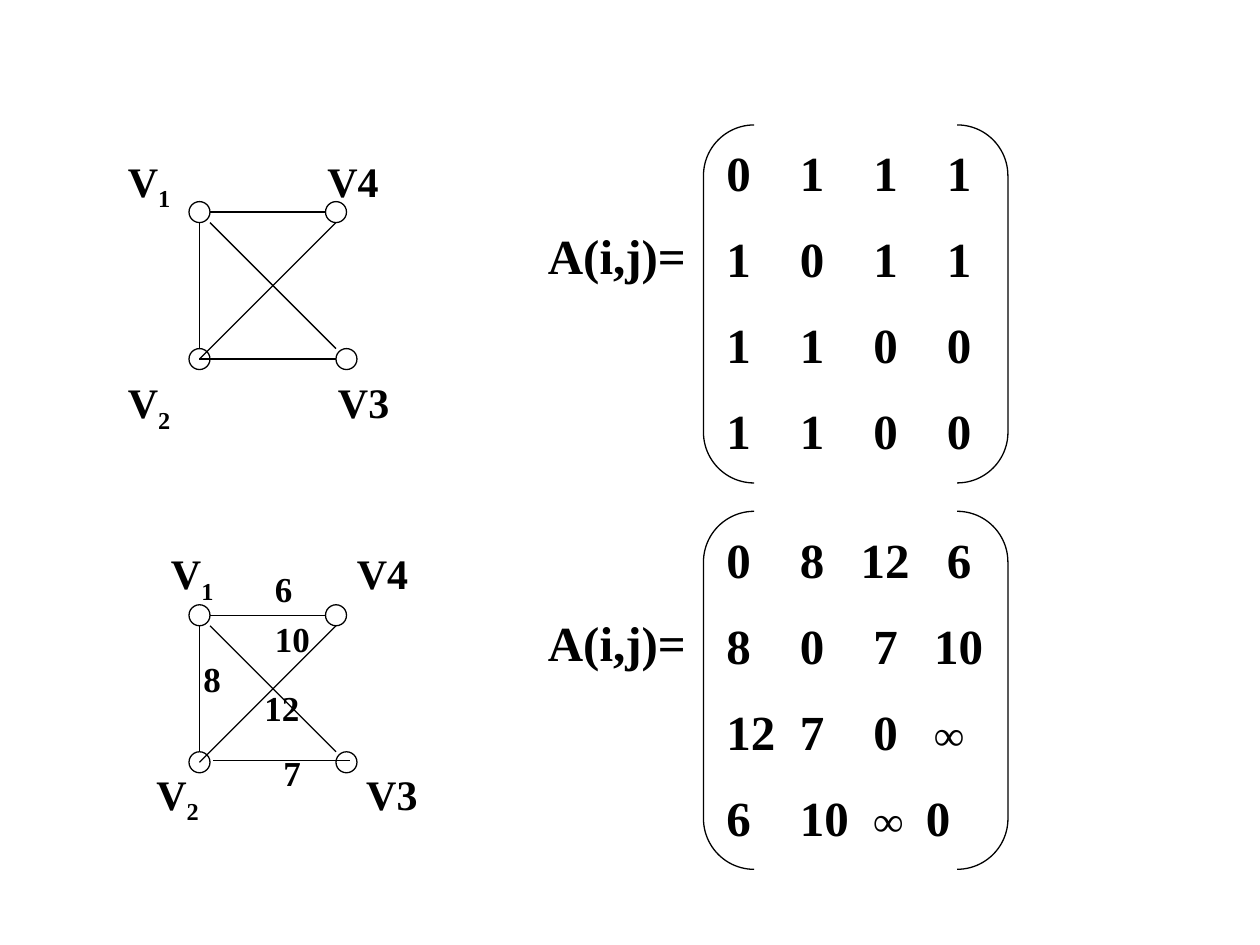
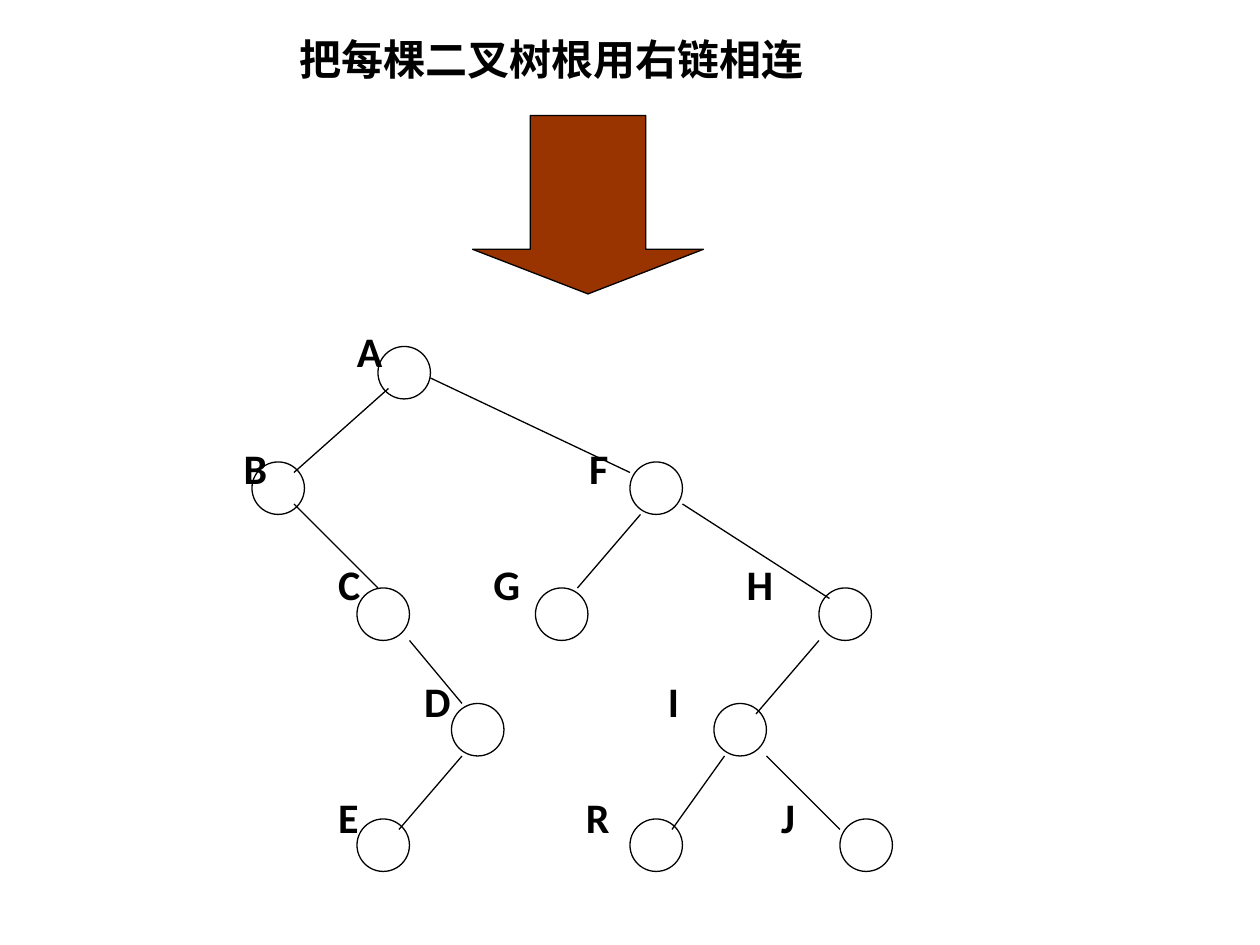
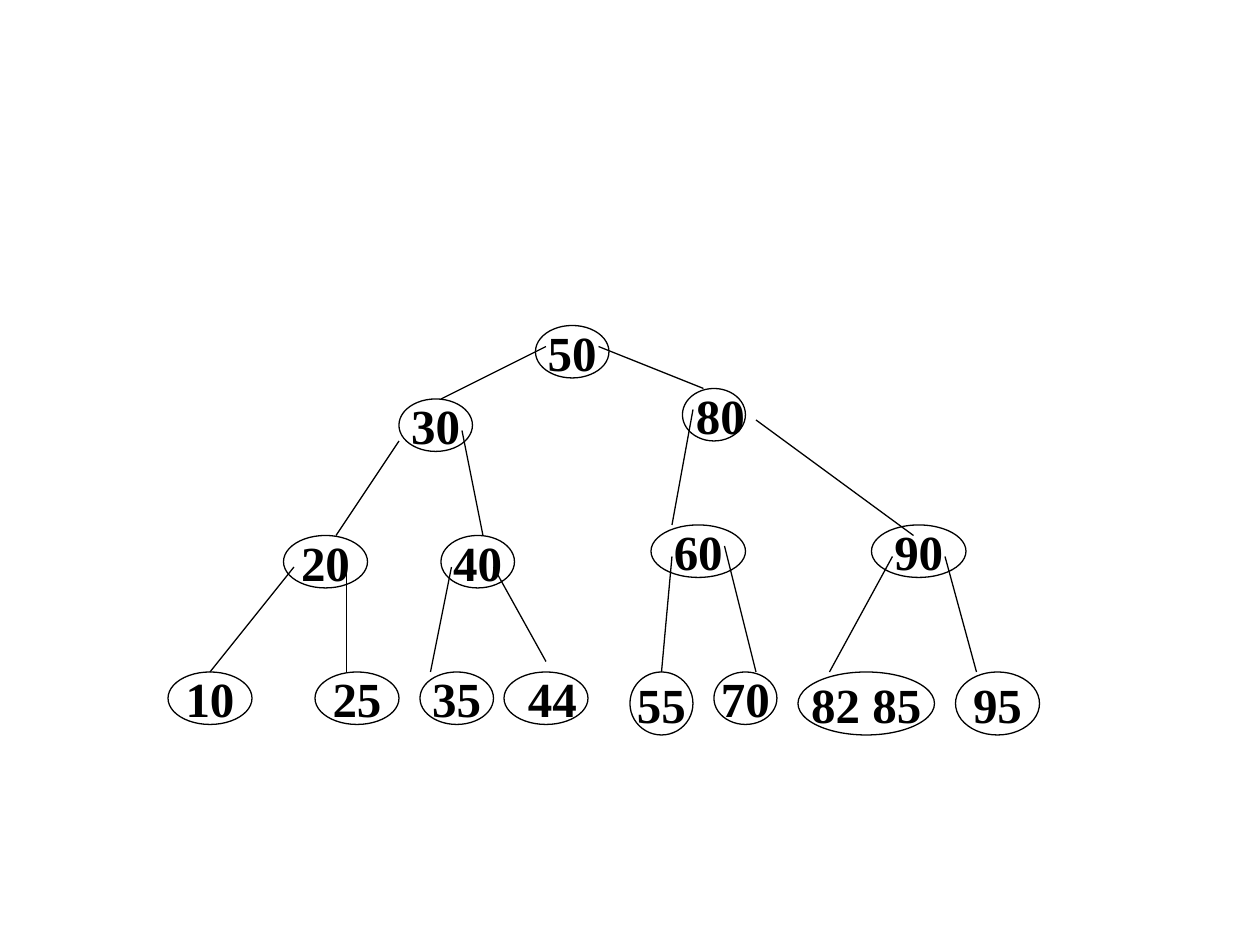
from typing import NamedTuple

from lxml import etree
from pptx import Presentation
from pptx.dml.color import RGBColor
from pptx.enum.shapes import MSO_CONNECTOR, MSO_SHAPE
from pptx.enum.text import MSO_ANCHOR, PP_ALIGN
from pptx.oxml.ns import qn
from pptx.util import Pt

EMU_PER_PX = 7620  # 120 px to the inch
SLIDE_W, SLIDE_H = 1200, 900
BLANK_LAYOUT = 6

BLACK = RGBColor(0x00, 0x00, 0x00)
RUST = RGBColor(0x99, 0x33, 0x00)
SERIF, SANS = "Times New Roman", "Calibri"
LINE_WIDTH = Pt(0.75)
INSET_X, INSET_Y = 12, 6

ELLIPSE = MSO_SHAPE.OVAL
BRACKETS = MSO_SHAPE.DOUBLE_BRACKET
DOWN_ARROW = MSO_SHAPE.DOWN_ARROW
STRAIGHT = MSO_CONNECTOR.STRAIGHT
MIDDLE = MSO_ANCHOR.MIDDLE
CENTER = PP_ALIGN.CENTER


class Box(NamedTuple):
    left: int
    top: int
    width: int
    height: int


class Edge(NamedTuple):
    x1: int
    y1: int
    x2: int
    y2: int


class Cell(NamedTuple):
    text: str
    left: int
    size: int = 28


class VertexLabel(NamedTuple):
    left: int
    top: int
    text: str
    subscript: str = ""


class Weight(NamedTuple):
    left: int
    top: int
    text: str


class Key(NamedTuple):
    text: str
    box: Box
    nudge: int = 0


def px(length: int) -> int:
    return length * EMU_PER_PX


def style_run(run, size: int, font: str) -> None:
    run.font.size = Pt(size)
    run.font.name = font
    run.font.bold = True
    run.font.color.rgb = BLACK


def add_run(paragraph, text: str, size: int, font: str = SERIF):
    run = paragraph.add_run()
    run.text = text
    style_run(run, size, font)
    return run


def add_outline(slide, kind, box: Box, fill: RGBColor | None = None):
    shape = slide.shapes.add_shape(kind, *map(px, box))
    shape.shadow.inherit = False
    if fill is None:
        shape.fill.background()
    else:
        shape.fill.solid()
        shape.fill.fore_color.rgb = fill
    shape.line.color.rgb = BLACK
    shape.line.width = LINE_WIDTH
    return shape


def add_edge(slide, edge: Edge, dx: int = 0, dy: int = 0) -> None:
    line = slide.shapes.add_connector(
        STRAIGHT, px(edge.x1 + dx), px(edge.y1 + dy), px(edge.x2 + dx), px(edge.y2 + dy))
    line.line.color.rgb = BLACK
    line.line.width = LINE_WIDTH
    etree.SubElement(line._element.spPr, qn("a:effectLst"))


def add_text_frame(slide, box: Box, inset_x: int = INSET_X, inset_y: int = INSET_Y):
    frame = slide.shapes.add_textbox(*map(px, box)).text_frame
    frame.word_wrap = True
    frame.margin_left = frame.margin_right = px(inset_x)
    frame.margin_top = frame.margin_bottom = px(inset_y)
    return frame


def add_tabbed_rows(frame, rows: list[list[Cell]], gap: float, font: str) -> None:
    """Write one paragraph per row, each cell starting at its own tab stop."""
    for index, row in enumerate(rows):
        paragraph = frame.add_paragraph() if index else frame.paragraphs[0]
        stops = etree.SubElement(paragraph._p.get_or_add_pPr(), qn("a:tabLst"))
        for cell in row:
            if cell.left:
                etree.SubElement(stops, qn("a:tab"), pos=str(px(cell.left)), algn="l")
        if index:
            paragraph.space_before = Pt(gap)
        for cell in row:
            add_run(paragraph, ("\t" if cell.left else "") + cell.text, cell.size, font)


# Adjacency matrices
GRAPH_LEFT, VERTEX_SIZE = 180, 20
VERTICES = [(0, 0), (0, 140), (140, 140), (130, 0)]
SIDES = [Edge(20, 10, 130, 10), Edge(10, 20, 10, 140),
         Edge(20, 20, 140, 140), Edge(140, 20, 10, 150)]
PLAIN_BASE = Edge(10, 150, 140, 150)
WEIGHTED_BASE = Edge(23, 148, 153, 148)
PLAIN_LABELS = [VertexLabel(110, 142, "V", "1"), VertexLabel(110, 353, "V", "2"),
                VertexLabel(310, 353, "V3"), VertexLabel(300, 142, "V4")]
WEIGHTED_LABELS = [VertexLabel(151, 516, "V", "1"), VertexLabel(137, 726, "V", "2"),
                   VertexLabel(337, 726, "V3"), VertexLabel(328, 516, "V4")]
WEIGHTS = [Weight(250, 535, "6"), Weight(182, 620, "8"), Weight(258, 710, "7"),
           Weight(250, 582, "10"), Weight(240, 648, "12")]

COLUMN_STEP = 70
WIDE_SHIFT = 12  # two-digit entries in the right half start earlier


def evenly(entries: str) -> list[Cell]:
    return [Cell(entry, i * COLUMN_STEP) for i, entry in enumerate(entries)]


PLAIN_MATRIX = [evenly(row) for row in ("0111", "1011", "1100", "1100")]
COL_2, COL_3, COL_4 = (i * COLUMN_STEP for i in (1, 2, 3))
WEIGHTED_MATRIX = [
    [Cell("0", 0), Cell("8", COL_2), Cell("12", COL_3 - WIDE_SHIFT), Cell("6", COL_4)],
    [Cell("8", 0), Cell("0", COL_2), Cell("7", COL_3), Cell("10", COL_4 - WIDE_SHIFT)],
    [Cell("12", 0), Cell("7", COL_2), Cell("0", COL_3), Cell("∞", COL_4 - WIDE_SHIFT, 24)],
    [Cell("6", 0), Cell("10", COL_2), Cell("∞", COL_3, 24), Cell("0", COL_4 - 20)],
]


def draw_graph(slide, top: int, base: Edge, labels: list[VertexLabel]) -> None:
    for x, y in VERTICES:
        add_outline(slide, ELLIPSE, Box(GRAPH_LEFT + x, top + y, VERTEX_SIZE, VERTEX_SIZE))
    for edge in [*SIDES, base]:
        add_edge(slide, edge, GRAPH_LEFT, top)
    for label in labels:
        frame = add_text_frame(slide, Box(label.left, label.top, 100, 60))
        paragraph = frame.paragraphs[0]
        add_run(paragraph, label.text, 24)
        if label.subscript:
            subscript = add_run(paragraph, label.subscript, 24)
            subscript._r.get_or_add_rPr().set("baseline", "-25000")


def draw_matrix(slide, top: int, rows: list[list[Cell]]) -> None:
    name = add_text_frame(slide, Box(510, top + 90, 200, 68))
    add_run(name.paragraphs[0], "A(i,j)=", 28)
    add_outline(slide, BRACKETS, Box(670, top, 290, 341))
    entries = add_text_frame(slide, Box(680, top + 11, 300, 320))
    add_tabbed_rows(entries, rows, 15.5, SERIF)


def draw_adjacency(slide) -> None:
    draw_graph(slide, 192, PLAIN_BASE, PLAIN_LABELS)
    draw_matrix(slide, 119, PLAIN_MATRIX)
    draw_graph(slide, 576, WEIGHTED_BASE, WEIGHTED_LABELS)
    for weight in WEIGHTS:
        frame = add_text_frame(slide, Box(weight.left, weight.top, 80, 52))
        add_run(frame.paragraphs[0], weight.text, 20)
    draw_matrix(slide, 487, WEIGHTED_MATRIX)


# Binary tree joined by right links
TREE_NODE_SIZE = 50
TREE_NODES = [(360, 330), (240, 440), (600, 440), (340, 560), (510, 560), (780, 560),
              (430, 670), (680, 670), (340, 780), (600, 780), (800, 780)]
TREE_EDGES = [
    Edge(370, 370, 280, 450), Edge(280, 480, 360, 560), Edge(410, 360, 600, 450),
    Edge(650, 480, 790, 570), Edge(610, 490, 550, 560), Edge(690, 720, 640, 790),
    Edge(440, 720, 380, 790), Edge(730, 720, 800, 790), Edge(780, 610, 720, 680),
    Edge(390, 610, 440, 670),
]
TREE_LABELS = [
    [Cell("A", 340, 24)],
    [Cell("B", 232, 24), Cell("F", 561, 24)],
    [Cell("C", 322, 24), Cell("G", 470, 24), Cell("H", 711, 24)],
    [Cell("D", 404, 24), Cell("I", 636, 24)],
    [Cell("E", 322, 24), Cell("R", 558, 24), Cell("J", 744, 24)],
]


def draw_linked_tree(slide) -> None:
    heading = add_text_frame(slide, Box(285, 32, 700, 60), 0, 0)
    add_run(heading.paragraphs[0], "把每棵二叉树根用右链相连", 24, SANS)
    labels = add_text_frame(slide, Box(0, 310, SLIDE_W, 520), 0, 0)
    add_tabbed_rows(labels, TREE_LABELS, 37.8, SANS)
    for left, top in TREE_NODES:
        add_outline(slide, ELLIPSE, Box(left, top, TREE_NODE_SIZE, TREE_NODE_SIZE))
    for edge in TREE_EDGES:
        add_edge(slide, edge)
    add_outline(slide, DOWN_ARROW, Box(450, 110, 220, 170), RUST).adjustments[1] = 0.25


# Search tree
KEYS = [
    Key("50", Box(510, 310, 70, 50)),
    Key("30", Box(380, 380, 70, 50)), Key("80", Box(650, 370, 60, 50), 12),
    Key("20", Box(270, 510, 80, 50)), Key("40", Box(420, 510, 70, 50)),
    Key("60", Box(620, 500, 90, 50)), Key("90", Box(830, 500, 90, 50)),
    Key("10", Box(160, 640, 80, 50)), Key("25", Box(300, 640, 80, 50)),
    Key("35", Box(400, 640, 70, 50)), Key("44", Box(480, 640, 80, 50), 12),
    Key("55", Box(600, 640, 60, 60)), Key("70", Box(680, 640, 60, 50)),
    Key("82 85", Box(760, 640, 130, 60)), Key("95", Box(910, 640, 80, 60)),
]
KEY_EDGES = [
    Edge(520, 330, 420, 380), Edge(570, 330, 670, 370),
    Edge(380, 420, 320, 510), Edge(440, 410, 460, 510),
    Edge(660, 390, 640, 500), Edge(720, 400, 870, 510),
    Edge(280, 540, 200, 640), Edge(330, 540, 330, 640),
    Edge(430, 540, 410, 640), Edge(470, 540, 520, 630),
    Edge(640, 530, 630, 640), Edge(690, 520, 720, 640),
    Edge(850, 530, 790, 640), Edge(900, 530, 930, 640),
]


def draw_search_tree(slide) -> None:
    for key in KEYS:
        frame = add_outline(slide, ELLIPSE, key.box).text_frame
        frame.word_wrap = False
        frame.vertical_anchor = MIDDLE
        frame.margin_left, frame.margin_right = px(INSET_X + key.nudge), px(INSET_X)
        frame.margin_top = frame.margin_bottom = px(INSET_Y)
        frame.paragraphs[0].alignment = CENTER
        add_run(frame.paragraphs[0], key.text, 28)
    for edge in KEY_EDGES:
        add_edge(slide, edge)


def main() -> None:
    deck = Presentation()
    deck.slide_width, deck.slide_height = px(SLIDE_W), px(SLIDE_H)
    for draw in (draw_adjacency, draw_linked_tree, draw_search_tree):
        draw(deck.slides.add_slide(deck.slide_layouts[BLANK_LAYOUT]))
    deck.save("out.pptx")


if __name__ == "__main__":
    main()
